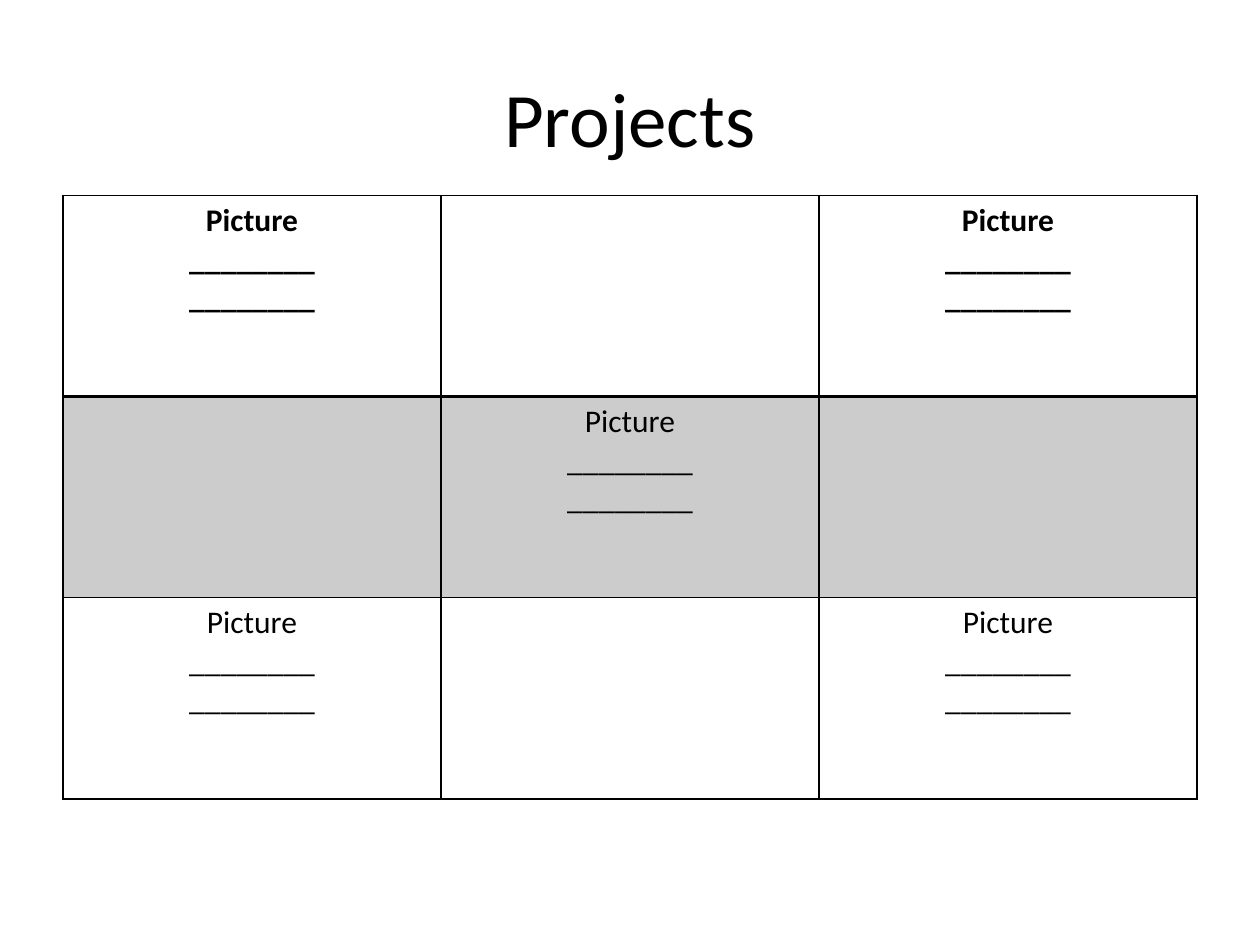
from lxml import etree
from pptx import Presentation
from pptx.dml.color import RGBColor
from pptx.enum.text import MSO_ANCHOR, PP_ALIGN
from pptx.oxml.ns import qn
from pptx.util import Inches, Pt

CENTER = PP_ALIGN.CENTER
MIDDLE = MSO_ANCHOR.MIDDLE
COLORS = {"ink": "000000", "band": "CCCCCC"}
TITLE = {"name": "Calibri", "size": Pt(44), "bold": False}
HEAD = {"name": "Calibri", "size": Pt(18), "bold": True}
BODY = {**HEAD, "bold": False}
LINES = ["Picture", "________", "________"]


def write(frame, lines, style):
    for i, line in enumerate(lines):
        para = frame.paragraphs[0] if i == 0 else frame.add_paragraph()
        para.alignment = CENTER
        run = para.add_run()
        run.text = line
        for key, value in style.items():
            setattr(run.font, key, value)
        run.font.color.rgb = RGBColor.from_string(COLORS["ink"])


def border(cell, widths):
    props = cell._tc.get_or_add_tcPr()
    for side, width in widths.items():
        line = etree.SubElement(props, qn(f"a:ln{side}"), w=str(Pt(width)))
        fill = etree.SubElement(line, qn("a:solidFill"))
        etree.SubElement(fill, qn("a:srgbClr"), val=COLORS["ink"])


prs = Presentation()
prs.slide_width, prs.slide_height = Inches(10), Inches(7.5)
slide = prs.slides.add_slide(prs.slide_layouts[6])

# Title
box = slide.shapes.add_textbox(Inches(0.5), Inches(0.3), Inches(9), Inches(1.25))
box.text_frame.word_wrap = True
box.text_frame.vertical_anchor = MIDDLE
write(box.text_frame, ["Projects"], TITLE)

# Checkerboard of picture cells, with a heavier line under the first row
table = slide.shapes.add_table(
    3, 3, Inches(0.5), Inches(1.55), Inches(9), Inches(4.79)).table
table.first_row = table.horz_banding = False

for r in range(3):
    for c in range(3):
        cell = table.cell(r, c)
        border(cell, {"L": 1, "R": 1, "T": 2 if r == 1 else 1,
                      "B": 2 if r == 0 else 1})
        if r == 1:
            cell.fill.solid()
            cell.fill.fore_color.rgb = RGBColor.from_string(COLORS["band"])
        else:
            cell.fill.background()
        if (r + c) % 2 == 0:
            write(cell.text_frame, LINES, HEAD if r == 0 else BODY)

prs.save("out.pptx")
